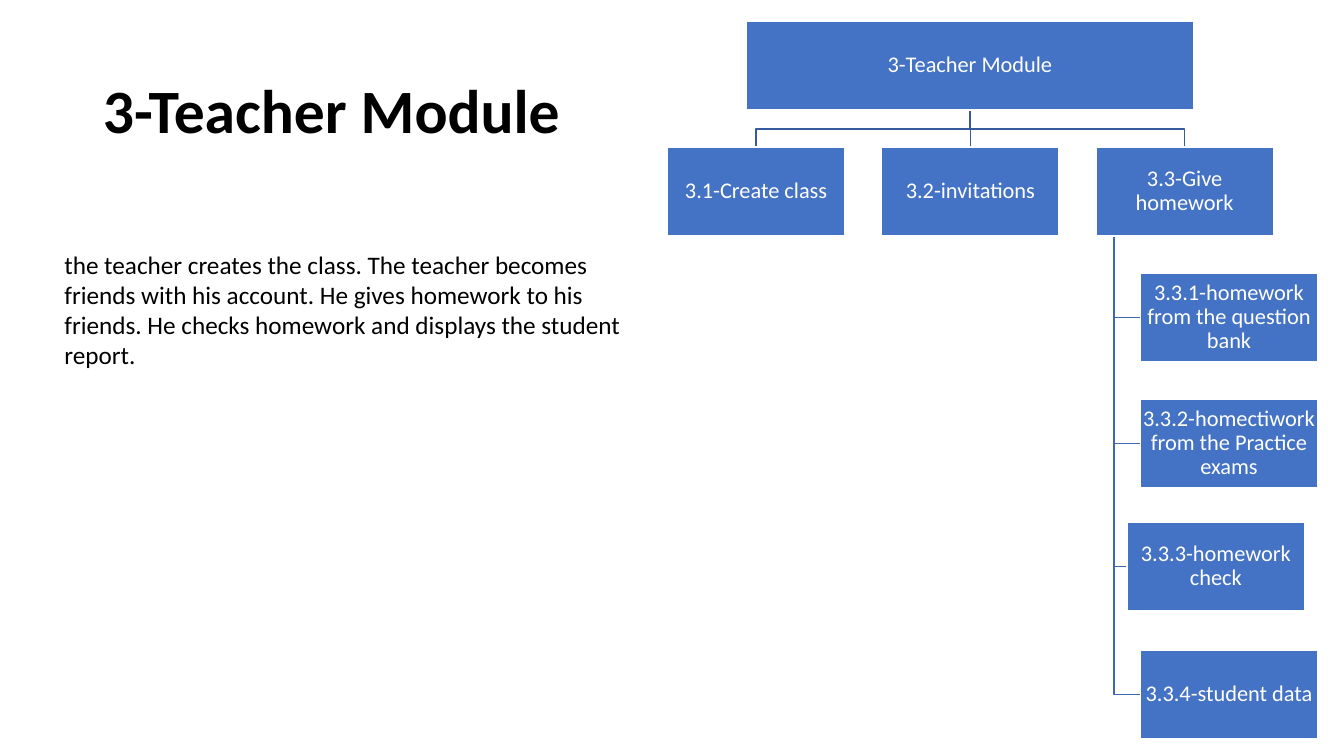
from dataclasses import dataclass

from pptx import Presentation
from pptx.dml.color import RGBColor
from pptx.enum.shapes import MSO_CONNECTOR, MSO_SHAPE
from pptx.enum.text import MSO_ANCHOR, PP_ALIGN
from pptx.oxml import parse_xml
from pptx.oxml.ns import nsdecls
from pptx.util import Inches, Pt

COLORS = {
    "text": "000000",
    "white": "FFFFFF",
    "box": "4472C4",
    "branch": "365B9D",
    "twig": "3E67B2",
}
BOX_W, BOX_H = 1.76, 0.88
ROW_Y = 1.46


@dataclass(frozen=True)
class Box:
    text: str
    x: float
    y: float
    w: float = BOX_W

    @property
    def cx(self) -> float:
        return self.x + self.w / 2

    @property
    def cy(self) -> float:
        return self.y + BOX_H / 2

    @property
    def bottom(self) -> float:
        return self.y + BOX_H


ROOT = Box("3-Teacher Module", 7.4, 0.21, 4.44)
MODULES = [
    Box(text, 6.62 + i * 2.125, ROW_Y)
    for i, text in enumerate(["3.1-Create class", "3.2-invitations", "3.3-Give homework"])
]
TASKS = [
    Box("3.3.1-homework from the question bank", 11.31, 2.71),
    Box("3.3.2-homectiwork from the Practice exams", 11.31, 3.96),
    Box("3.3.3-homework check", 11.18, 5.18),
    Box("3.3.4-student data", 11.31, 6.45),
]
SUMMARY = (
    "the teacher creates the class. The teacher becomes friends with his account. "
    "He gives homework to his friends. He checks homework and displays the student report."
)


def rgb(name: str) -> RGBColor:
    return RGBColor.from_string(COLORS[name])


def set_text(sp, text: str, *, size: float, color: str = "text", bold: bool = False,
             align=PP_ALIGN.LEFT, anchor=MSO_ANCHOR.TOP, spacing: float = 1.0,
             margin: float | None = None) -> None:
    tf = sp.text_frame
    tf.word_wrap = True
    tf.vertical_anchor = anchor
    if margin is not None:
        tf.margin_left = tf.margin_right = tf.margin_top = tf.margin_bottom = Inches(margin)
    p = tf.paragraphs[0]
    p.alignment = align
    p.line_spacing = spacing
    r = p.add_run()
    r.text = text
    r.font.name = "Calibri"
    r.font.size = Pt(size)
    r.font.bold = bold
    r.font.color.rgb = rgb(color)


def set_line(sp, color: str) -> None:
    sp.line.color.rgb = rgb(color)
    sp.line.width = Pt(1)


def add_box(s, box: Box) -> None:
    sp = s.shapes.add_shape(MSO_SHAPE.RECTANGLE, Inches(box.x), Inches(box.y),
                            Inches(box.w), Inches(BOX_H))
    sp.shadow.inherit = False
    sp.fill.solid()
    sp.fill.fore_color.rgb = rgb("box")
    set_line(sp, "white")
    set_text(sp, box.text, size=16, color="white", align=PP_ALIGN.CENTER,
             anchor=MSO_ANCHOR.MIDDLE, spacing=0.9, margin=0.01)


def add_elbow(s, points: list[tuple[float, float]], color: str) -> None:
    start, *rest = [(Inches(x), Inches(y)) for x, y in points]
    builder = s.shapes.build_freeform(*start)
    builder.add_line_segments(rest, close=False)
    sp = builder.convert_to_shape()
    sp.shadow.inherit = False
    sp.fill.background()
    set_line(sp, color)


def add_straight(s, x: float, y1: float, y2: float, color: str) -> None:
    sp = s.shapes.add_connector(MSO_CONNECTOR.STRAIGHT, Inches(x), Inches(y1),
                                Inches(x), Inches(y2))
    set_line(sp, color)
    sp._element.spPr.append(parse_xml(f"<a:effectLst {nsdecls('a')}/>"))


def add_tree(s) -> None:
    left, middle, right = MODULES
    trunk_x = right.x + 0.18
    for task in reversed(TASKS):
        add_elbow(s, [(trunk_x, right.bottom), (trunk_x, task.cy), (task.x, task.cy)], "twig")
    split_y = 1.28
    for module in (right, left):
        add_elbow(s, [(ROOT.cx, ROOT.bottom), (ROOT.cx, split_y),
                      (module.cx, split_y), (module.cx, module.y)], "branch")
    add_straight(s, middle.cx, ROOT.bottom, middle.y, "branch")
    for box in [ROOT, *MODULES, *TASKS]:
        add_box(s, box)


def main() -> None:
    prs = Presentation()
    prs.slide_width, prs.slide_height = Inches(13.33), Inches(7.5)
    s = prs.slides.add_slide(prs.slide_layouts[5])

    title = s.shapes.title
    title.left, title.top = Inches(0.92), Inches(0.4)
    title.width, title.height = Inches(5.54), Inches(1.45)
    set_text(title, "3-Teacher Module", size=44, bold=True,
             anchor=MSO_ANCHOR.MIDDLE, spacing=0.9)

    add_tree(s)

    summary = s.shapes.add_textbox(Inches(0.54), Inches(2.42), Inches(5.92), Inches(1.31))
    set_text(summary, SUMMARY, size=18)

    prs.save("out.pptx")


if __name__ == "__main__":
    main()
